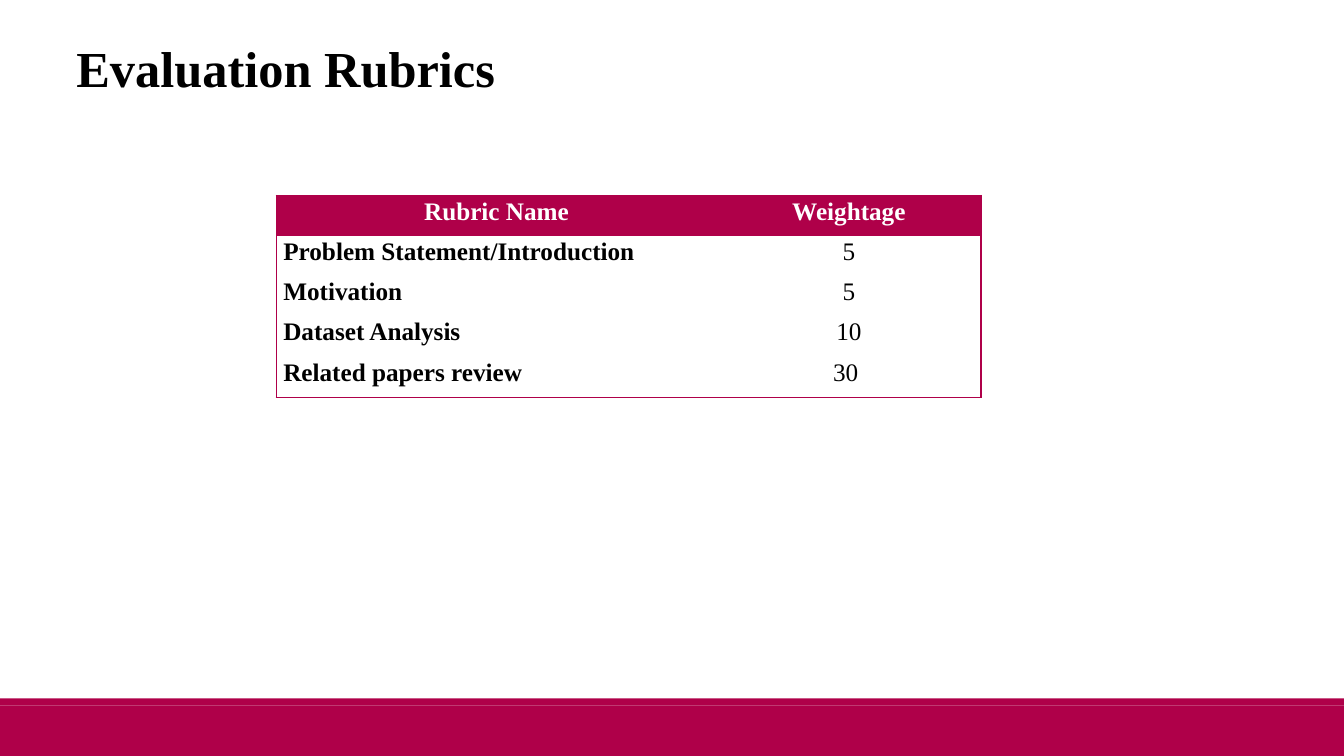
from pptx import Presentation
from pptx.dml.color import RGBColor
from pptx.enum import shapes, text
from pptx.oxml.ns import qn
from pptx.util import Inches, Pt
from lxml import etree

CRIMSON, WHITE, BLACK = "AF0049", "FFFFFF", "000000"
CENTER, LEFT = text.PP_ALIGN.CENTER, text.PP_ALIGN.LEFT


def color(value):
    return RGBColor.from_string(value)


def write(frame, words, size=18, ink=BLACK, bold=False, align=LEFT,
          spacing=None, font="Times New Roman"):
    paragraph = frame.paragraphs[0]
    paragraph.alignment = align
    paragraph.line_spacing = spacing
    run = paragraph.add_run()
    run.text = words
    run.font.name = font
    run.font.size = Pt(size)
    run.font.bold = bold
    run.font.color.rgb = color(ink)


class RubricSlide:
    def __init__(self, deck, accent):
        self.slide = deck.slides.add_slide(deck.slide_layouts[6])
        self.accent = accent

    def bar(self, left, top, width, height):
        band = self.slide.shapes.add_shape(
            shapes.MSO_SHAPE.RECTANGLE,
            Inches(left), Inches(top), Inches(width), Inches(height))
        band.shadow.inherit = False
        band.fill.solid()
        band.fill.fore_color.rgb = color(self.accent)
        band.line.fill.background()

    def title(self, words, left, top, width, height):
        heading = self.slide.shapes.add_textbox(
            Inches(left), Inches(top), Inches(width), Inches(height))
        heading.text_frame.word_wrap = True
        write(heading.text_frame, words, size=36, bold=True)

    def border(self, cell, side, visible):
        properties = cell._tc.get_or_add_tcPr()
        edge = etree.SubElement(properties, qn(f"a:ln{side}"), w=str(Pt(1)))
        if visible:
            fill = etree.SubElement(edge, qn("a:solidFill"))
            etree.SubElement(fill, qn("a:srgbClr"), val=self.accent)
        else:
            etree.SubElement(edge, qn("a:noFill"))

    def table(self, rows, left, top, widths, row_height):
        grid = self.slide.shapes.add_table(
            len(rows), len(widths), Inches(left), Inches(top),
            Inches(sum(widths)), Inches(row_height * len(rows))).table
        grid.first_row = grid.horz_banding = False
        for column, width in zip(grid.columns, widths):
            column.width = Inches(width)
        last_row, last_column = len(rows) - 1, len(widths) - 1
        for r, row in enumerate(rows):
            for c, words in enumerate(row):
                cell = grid.cell(r, c)
                header, label = r == 0, c == 0
                cell.margin_left = cell.margin_right = Inches(0.07)
                cell.margin_top = cell.margin_bottom = 0
                for side, visible in (("L", label), ("R", c == last_column),
                                      ("T", header), ("B", r == last_row)):
                    self.border(cell, side, visible)
                cell.fill.solid()
                cell.fill.fore_color.rgb = color(self.accent if header else WHITE)
                write(cell.text_frame, words, bold=header or label,
                      ink=WHITE if header else BLACK, spacing=1.07,
                      align=LEFT if label and not header else CENTER)


def main():
    deck = Presentation()
    deck.slide_width, deck.slide_height = Inches(13.33), Inches(7.5)
    page = RubricSlide(deck, CRIMSON)
    page.bar(0, 7, 13.33, 0.5)
    page.bar(0, 6.93, 13.33, 0.07)
    page.title("Evaluation Rubrics", 0.66, 0.32, 6.67, 0.71)
    rubrics = [
        ("Rubric Name", "Weightage"),
        ("Problem Statement/Introduction", "5"),
        ("Motivation", "5"),
        ("Dataset Analysis", "10"),
        ("Related papers review", "30 "),
    ]
    page.table(rubrics, 2.74, 1.94, (4.37, 2.62), 0.4)
    deck.save("out.pptx")


if __name__ == "__main__":
    main()
